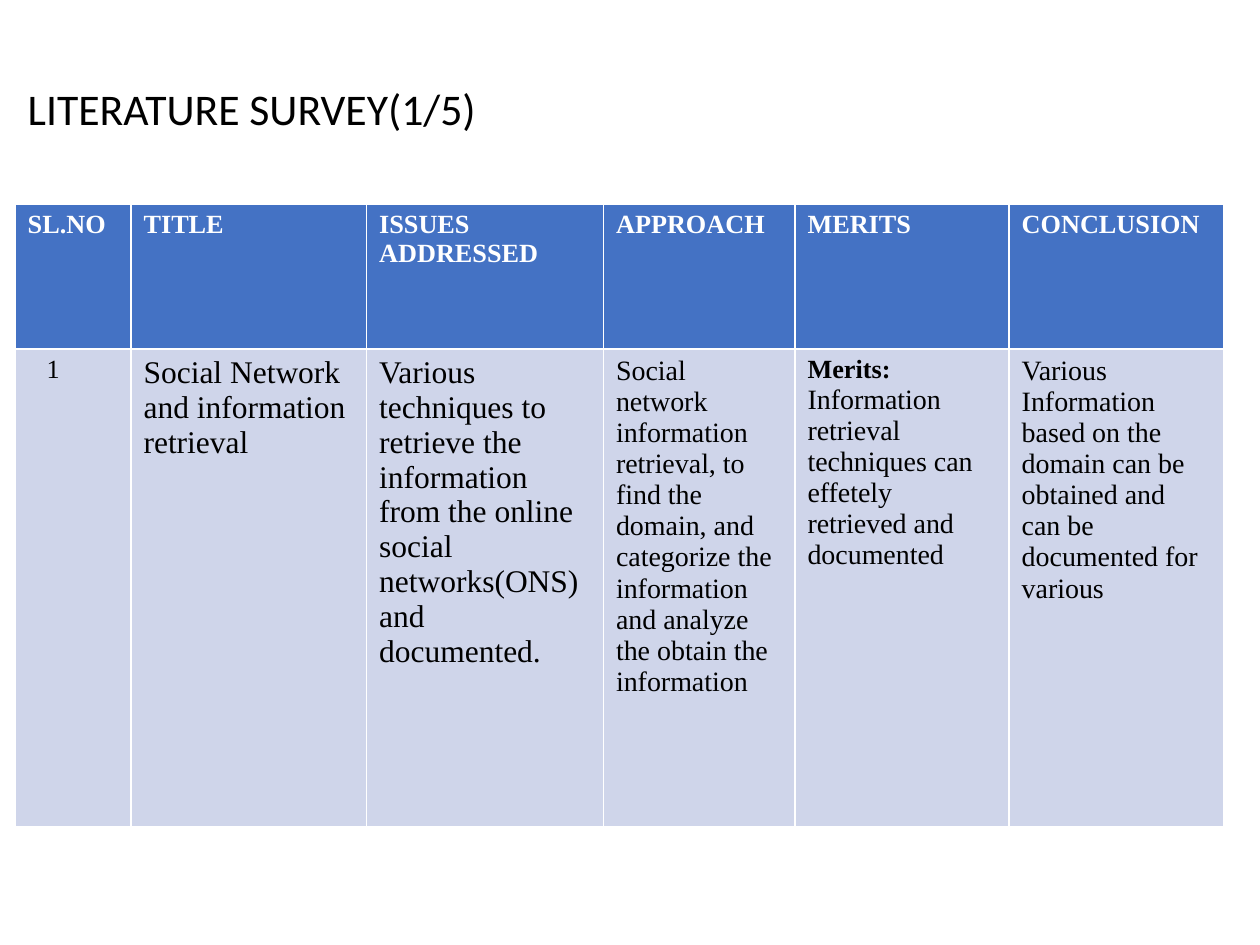
from dataclasses import dataclass

from pptx import Presentation
from pptx import util as u
from pptx.dml import color
from pptx.enum import text


@dataclass(frozen=True)
class Theme:
    title_font: str = "Calibri"
    table_font: str = "Times New Roman"
    ink: str = "000000"
    header_ink: str = "FFFFFF"
    header_fill: str = "4472C4"
    body_fill: str = "CFD5EA"
    title_size: int = 25
    label_size: int = 15
    body_size: int = 16
    large_size: int = 18


THEME = Theme()

# Heading, column width in inches, then the survey entry as (text, size, bold) runs
COLUMNS = [
    ("SL.NO", 0.92, [("1", THEME.label_size, False)]),
    ("TITLE", 1.87, [
        ("Social Network and information retrieval", THEME.large_size, False)]),
    ("ISSUES ADDRESSED", 1.88, [
        ("Various techniques to retrieve the information from the online "
         "social networks(ONS) and documented.", THEME.large_size, False)]),
    ("APPROACH", 1.52, [
        ("Social network information retrieval, to find the domain, and "
         "categorize the information and analyze the obtain the information",
         THEME.body_size, False)]),
    ("MERITS", 1.7, [
        ("Merits: ", THEME.label_size, True),
        ("Information retrieval techniques can effetely retrieved and "
         "documented", THEME.body_size, False)]),
    ("CONCLUSION", 1.7, [
        ("Various Information based on the domain can be obtained and can be "
         "documented for various", THEME.body_size, False)]),
]
ROW_HEIGHTS = (1.15, 3.79)


def format_run(run, font, size, ink, bold=False):
    run.font.name = font
    run.font.size = u.Pt(size)
    run.font.bold = bold
    run.font.color.rgb = color.RGBColor.from_string(ink)


def fill_cell(cell, runs, ink, fill):
    cell.fill.solid()
    cell.fill.fore_color.rgb = color.RGBColor.from_string(fill)
    paragraph = cell.text_frame.paragraphs[0]
    for content, size, bold in runs:
        run = paragraph.add_run()
        run.text = content
        format_run(run, THEME.table_font, size, ink, bold)


def place_title(slide, left, top, width, height):
    title = slide.shapes.title
    title.left, title.top, title.width, title.height = left, top, width, height
    frame = title.text_frame
    frame.text = "LITERATURE SURVEY(1/5)"
    frame.word_wrap = True
    frame.auto_size = text.MSO_AUTO_SIZE.SHAPE_TO_FIT_TEXT
    frame.vertical_anchor = text.MSO_ANCHOR.TOP
    paragraph = frame.paragraphs[0]
    paragraph.alignment = text.PP_ALIGN.LEFT
    format_run(paragraph.runs[0], THEME.title_font, THEME.title_size, THEME.ink)


def place_survey_table(slide, left, top, width, height):
    # The default table style supplies the white rules between cells
    table = slide.shapes.add_table(
        len(ROW_HEIGHTS), len(COLUMNS), left, top, width, height).table
    for row, row_height in zip(table.rows, ROW_HEIGHTS):
        row.height = u.Inches(row_height)
    for index, (heading, column_width, entry) in enumerate(COLUMNS):
        table.columns[index].width = u.Inches(column_width)
        fill_cell(table.cell(0, index), [(heading, THEME.label_size, True)],
                  THEME.header_ink, THEME.header_fill)
        fill_cell(table.cell(1, index), entry, THEME.ink, THEME.body_fill)
    # Indent the serial number
    table.cell(1, 0).margin_left = u.Inches(0.25)


def main():
    presentation = Presentation()
    presentation.slide_width = u.Inches(10)
    presentation.slide_height = u.Inches(7.5)
    title_only = presentation.slide_layouts[5]
    slide = presentation.slides.add_slide(title_only)
    left = u.Inches(0.12)
    place_title(slide, left, u.Inches(0.6), u.Inches(8.58), u.Inches(0.52))
    place_survey_table(slide, left, u.Inches(1.62), u.Inches(9.58),
                       u.Inches(sum(ROW_HEIGHTS)))
    presentation.save("out.pptx")


if __name__ == "__main__":
    main()
